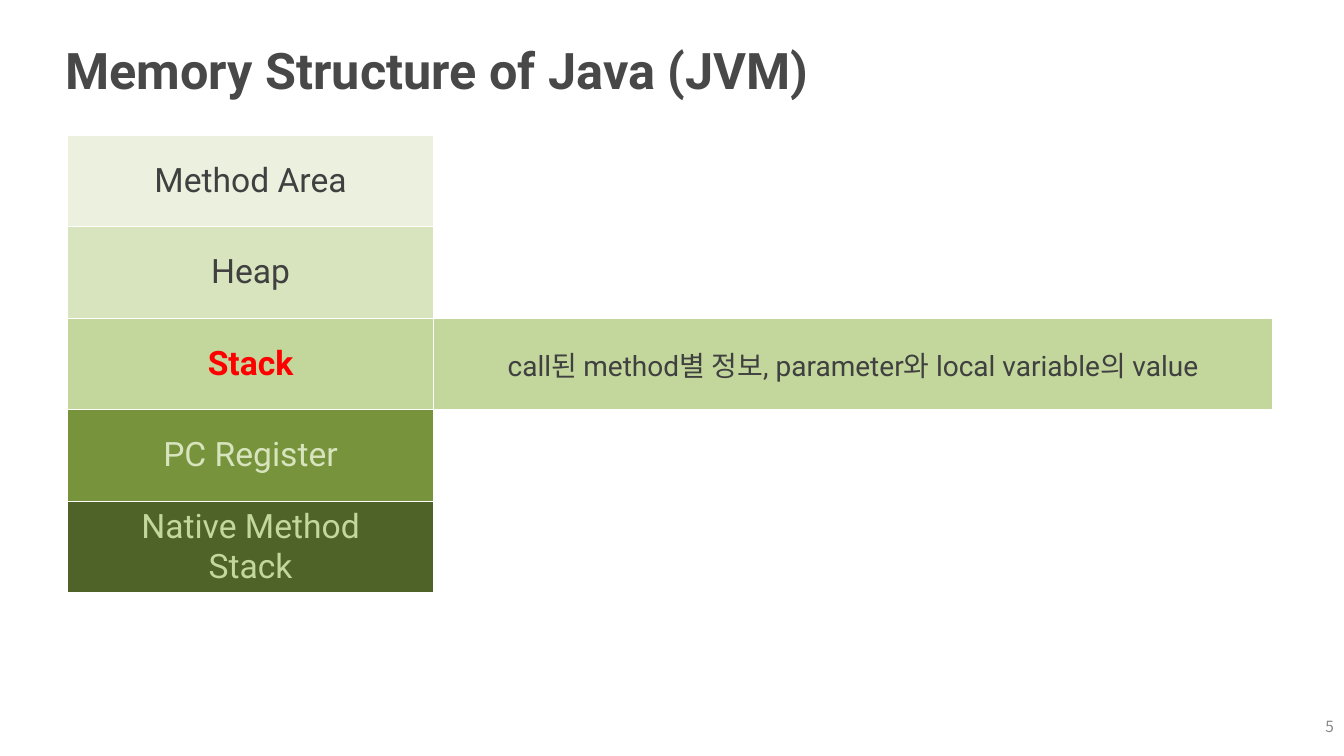
import pptx
import pptx.dml.color
import pptx.enum.text
import pptx.oxml
import pptx.oxml.ns
import pptx.util
from pptx.util import Inches

# Content: name lines, cell fill, name format, description
TITLE = "Memory Structure of Java (JVM)"
PAGE_NUMBER = "5"
MEMORY_AREAS = [
    (["Method Area"], "lightest", {}, None),
    (["Heap"], "light", {}, None),
    (["Stack"], "medium", {"color": "highlight", "bold": True},
     "call된 method별 정보, parameter와 local variable의 value"),
    (["PC Register"], "dark", {"color": "light"}, None),
    (["Native Method", "Stack"], "darkest", {"color": "medium"}, None),
]

THEME = {
    "font": "Roboto", "korean_font": "Noto Sans CJK KR",
    "colors": {
        "title": "484848", "text": "404040", "highlight": "FF0000",
        "page": "888888", "border": "FFFFFF", "lightest": "EBF1DE",
        "light": "D7E4BD", "medium": "C3D69B", "dark": "77933C",
        "darkest": "4F6228",
    },
    "sizes": {"title": 36, "area": 24, "description": 20, "page": 11},
}
ALIGN = pptx.enum.text.PP_ALIGN
MIDDLE = pptx.enum.text.MSO_ANCHOR.MIDDLE


def color_of(name):
    return pptx.dml.color.RGBColor.from_string(THEME["colors"][name])


def write_text(frame, lines, size="area", color="text", bold=False,
               align=ALIGN.CENTER, font=THEME["font"]):
    for index, line in enumerate(lines):
        paragraph = frame.paragraphs[0] if index == 0 else frame.add_paragraph()
        paragraph.alignment = align
        run = paragraph.add_run()
        run.text = line
        run.font.name = font
        run.font.size = pptx.util.Pt(THEME["sizes"][size])
        run.font.bold = bold
        run.font.color.rgb = color_of(color)
        east_asian = pptx.oxml.parse_xml(
            f'<a:ea {pptx.oxml.ns.nsdecls("a")} typeface="{THEME["korean_font"]}"/>')
        run.font._element.append(east_asian)


def set_margins(target, margin):
    target.margin_left = target.margin_right = Inches(margin)
    target.margin_top = target.margin_bottom = Inches(margin)


def add_borders(cell):
    properties = cell._tc.get_or_add_tcPr()
    for index, side in enumerate(("lnL", "lnR", "lnT", "lnB")):
        border = pptx.oxml.parse_xml(
            f'<a:{side} {pptx.oxml.ns.nsdecls("a")} w="{pptx.util.Pt(1)}"><a:solidFill>'
            f'<a:srgbClr val="{THEME["colors"]["border"]}"/></a:solidFill></a:{side}>')
        properties.insert(index, border)


def add_title(slide):
    title = slide.shapes.title
    title.left, title.top = Inches(0.6), Inches(0.29)
    title.width, title.height = Inches(12.08), Inches(0.79)
    frame = title.text_frame
    set_margins(frame, 0.05)
    frame.vertical_anchor = MIDDLE
    write_text(frame, [TITLE], size="title", color="title", bold=True,
               align=ALIGN.LEFT)


def add_memory_table(slide):
    row_count = len(MEMORY_AREAS)
    table = slide.shapes.add_table(
        row_count, 2, Inches(0.67), Inches(1.34),
        Inches(11.95), Inches(4.54)).table
    table.first_row = table.horz_banding = False
    table.columns[0].width = Inches(3.63)
    table.columns[1].width = Inches(8.32)

    for row, (names, fill, name_format, description) in enumerate(MEMORY_AREAS):
        for column in range(2):
            cell = table.cell(row, column)
            set_margins(cell, 0)
            cell.vertical_anchor = MIDDLE
            if column == 0 or description:
                cell.fill.solid()
                cell.fill.fore_color.rgb = color_of(fill)
            else:
                cell.fill.background()
            add_borders(cell)
        write_text(table.cell(row, 0).text_frame, names, **name_format)
        if description:
            write_text(table.cell(row, 1).text_frame, [description],
                       size="description")


def add_page_number(slide):
    box = slide.shapes.add_textbox(
        Inches(13.07), Inches(7.08), Inches(0.21), Inches(0.26))
    frame = box.text_frame
    set_margins(frame, 0.05)
    frame.word_wrap = False
    frame.vertical_anchor = MIDDLE
    write_text(frame, [PAGE_NUMBER], size="page", color="page",
               align=ALIGN.RIGHT, font=THEME["korean_font"])


def main():
    presentation = pptx.Presentation()
    presentation.slide_width = Inches(13.33)
    presentation.slide_height = Inches(7.5)
    slide = presentation.slides.add_slide(presentation.slide_layouts[5])
    add_title(slide)
    add_memory_table(slide)
    add_page_number(slide)
    presentation.save("out.pptx")


if __name__ == "__main__":
    main()
